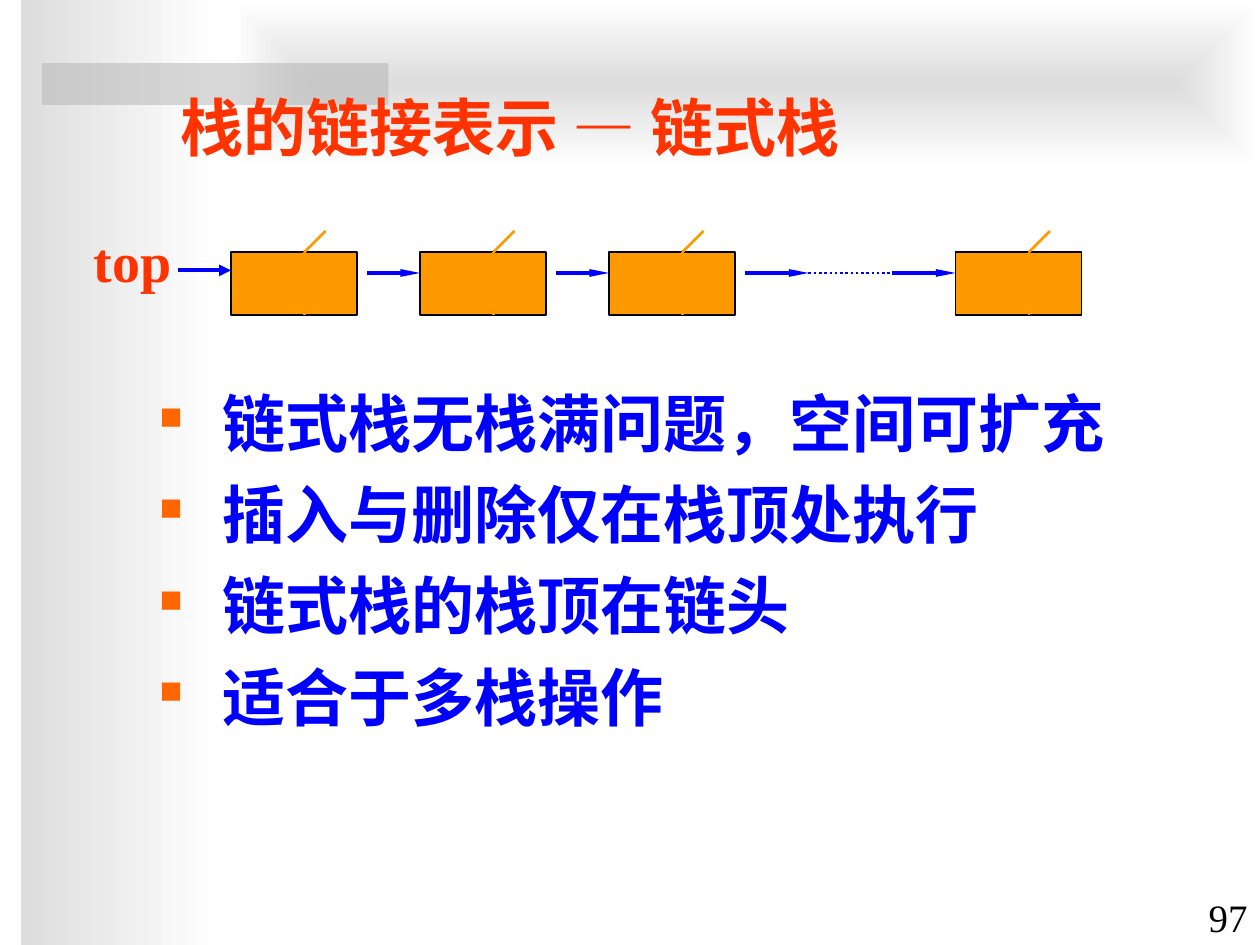
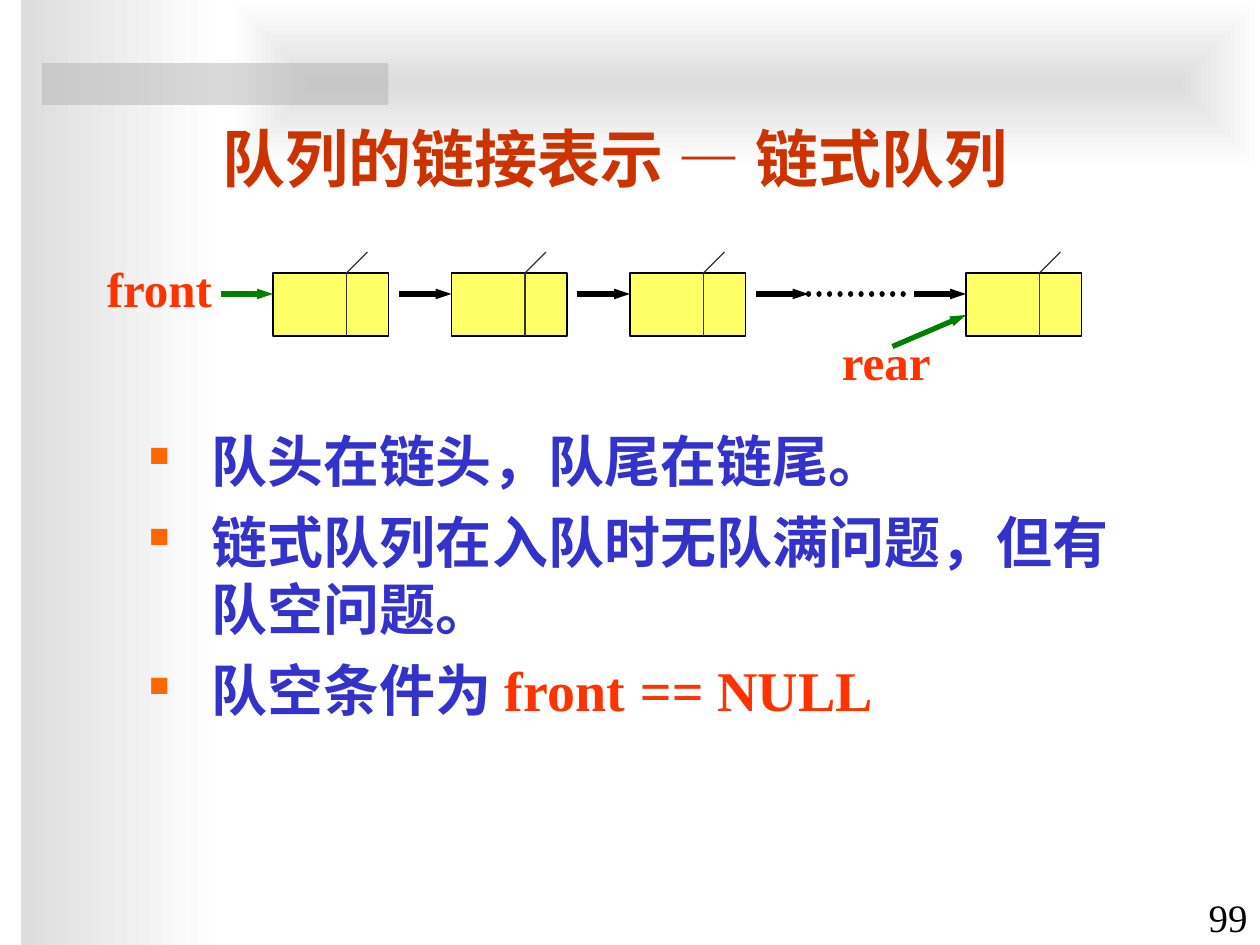
from lxml import etree
from pptx import Presentation
from pptx.dml.color import RGBColor
from pptx.enum.dml import MSO_LINE
from pptx.enum.shapes import MSO_CONNECTOR, MSO_SHAPE
from pptx.enum.text import MSO_ANCHOR, MSO_AUTO_SIZE, PP_ALIGN
from pptx.oxml.ns import qn
from pptx.util import Emu, Pt

RECTANGLE = MSO_SHAPE.RECTANGLE
STRAIGHT = MSO_CONNECTOR.STRAIGHT
DOTTED = MSO_LINE.ROUND_DOT
TOP, MIDDLE, BOTTOM = MSO_ANCHOR.TOP, MSO_ANCHOR.MIDDLE, MSO_ANCHOR.BOTTOM
LEFT, RIGHT = PP_ALIGN.LEFT, PP_ALIGN.RIGHT
NO_AUTOFIT = MSO_AUTO_SIZE.NONE
PIXEL = 9525
FONT = "Times New Roman"
TITLE_ONLY = 5

COLORS = {
    "black": "000000", "white": "FFFFFF", "band": "DDDDDD", "accent": "B2B2B2",
    "red": "FF3300", "brick": "CC3300", "blue": "0000FF", "indigo": "3333CC",
    "orange": "FF9900", "yellow": "FFFF66", "green": "008000", "dark": "333333",
    "bullet": "FF6600",
}

SIDE_BAND = (16, 0, 152, 720)
TOP_BAND = (176, 0, 784, 128)
ACCENT_BAR = (32, 48, 264, 32)
PAGE_NUMBER = (864, 673, 96, 48)
NODE_HEIGHT, DIVIDER_OFFSET, TICK, NODE_GAP, BULLET_INDENT = 48, 56, 16, 8, 48

SLIDES = [
    {
        "page": "97",
        "title": "栈的链接表示 — 链式栈",
        "title_box": (128, 56, 648, 80), "title_color": "red",
        "body_box": (112, 288, 792, 280), "body_size": 36, "body_color": "blue",
        "space_before": 9,
        "bullets": [
            [("链式栈无栈满问题，空间可扩充", {})],
            [("插入与删除仅在栈顶处执行", {})],
            [("链式栈的栈顶在链头", {})],
            [("适合于多栈操作", {})],
        ],
        "nodes": [176, 320, 464, 728], "node_top": 192, "node_width": 96,
        "node_fill": "orange", "divider": ("orange", 1.5),
        "link": {"color": "blue", "width": 2.25, "head": ("sm", "lg")},
        "dots": (616, 680, 1.5, "flat"),
        "labels": [("top", (62, 168, 79, 61), 32)],
        "pointers": [((136, 206), (176, 206))],
        "pointer": {"color": "blue", "width": 2.25, "head": ("med", "med")},
    },
    {
        "page": "99",
        "title": "队列的链接表示 — 链式队列",
        "title_box": (160, 88, 680, 64), "title_color": "brick",
        "body_box": (104, 320, 784, 272), "body_size": 32, "body_color": "indigo",
        "space_before": 8,
        "bullets": [
            [("队头在链头，队尾在链尾。", {})],
            [("链式队列在入队时无队满问题，但有队空问题。", {})],
            [("队空条件为 ", {}), ("front ", {"color": "red"}),
             ("==", {"color": "red", "italic": True}), (" NULL", {"color": "red"})],
        ],
        "nodes": [208, 344, 480, 736], "node_top": 208, "node_width": 88,
        "node_fill": "yellow", "divider": ("dark", 0.75),
        "link": {"color": "black", "width": 3, "head": ("sm", "med")},
        "dots": (616, 696, 3, "rnd"),
        "labels": [("front", (72, 192, 100, 55), 28), ("rear", (632, 248, 87, 55), 28)],
        "pointers": [((168, 224), (208, 224)), ((680, 264), (736, 240))],
        "pointer": {"color": "green", "width": 3, "head": ("sm", "med")},
    },
]


def px(value):
    return Emu(value * PIXEL)


def rgb(name):
    return RGBColor.from_string(COLORS[name])


def place(shape, box):
    shape.left, shape.top, shape.width, shape.height = map(px, box)


def add_rectangle(slide, box, fill=None, line=None):
    shape = slide.shapes.add_shape(RECTANGLE, *map(px, box))
    shape.shadow.inherit = False
    if fill:
        shape.fill.solid()
        shape.fill.fore_color.rgb = rgb(fill)
    if line:
        shape.line.color.rgb = rgb(line)
        shape.line.width = Pt(0.75)
    else:
        shape.line.fill.background()
    return shape


def add_gradient(slide, box):
    shape = add_rectangle(slide, box)
    shape.fill.gradient()
    shape.fill.gradient_angle = 0
    for stop, position, color in zip(shape.fill.gradient_stops, (0, 1), ("band", "white")):
        stop.position = position
        stop.color.rgb = rgb(color)
    return shape


def add_bands(slide, layout):
    side = add_gradient(slide, SIDE_BAND)
    top = add_gradient(slide, TOP_BAND)
    gradient = top.element.spPr.find(qn("a:gradFill"))
    gradient.remove(gradient.find(qn("a:lin")))
    center = etree.SubElement(gradient, qn("a:path"), path="rect")
    etree.SubElement(center, qn("a:fillToRect"), l="50000", t="50000", r="50000", b="50000")
    bar = add_rectangle(slide, ACCENT_BAR, "accent")
    color = bar.element.spPr.find(qn("a:solidFill"))[0]
    etree.SubElement(color, qn("a:alpha"), val="50000")
    for shape in (side, top, bar):
        layout.shapes.element.append(shape.element)


def add_line(slide, start, end, color, width, head=None, dash=None, cap="flat"):
    connector = slide.shapes.add_connector(STRAIGHT, *map(px, start + end))
    connector.line.color.rgb = rgb(color)
    connector.line.width = Pt(width)
    if dash:
        connector.line.dash_style = dash
    properties = connector.line._get_or_add_ln()
    properties.set("cap", cap)
    if head:
        etree.SubElement(properties, qn("a:tailEnd"), type="triangle", w=head[0], len=head[1])
    etree.SubElement(connector.element.spPr, qn("a:effectLst"))


def add_bullet(paragraph):
    properties = paragraph._p.get_or_add_pPr()
    properties.set("marL", str(px(BULLET_INDENT)))
    properties.set("indent", str(-px(BULLET_INDENT)))
    color = etree.SubElement(properties, qn("a:buClr"))
    etree.SubElement(color, qn("a:srgbClr"), val=COLORS["bullet"])
    etree.SubElement(properties, qn("a:buSzPct"), val="50000")
    etree.SubElement(properties, qn("a:buChar"), char="■")


def write_text(shape, paragraphs, size, color, bold=True, align=LEFT, anchor=TOP,
               wrap=True, bullet=False, space_before=0):
    frame = shape.text_frame
    frame.word_wrap = wrap
    frame.auto_size = NO_AUTOFIT
    frame.vertical_anchor = anchor
    for index, runs in enumerate(paragraphs):
        paragraph = frame.add_paragraph() if index else frame.paragraphs[0]
        paragraph.alignment = align
        paragraph.space_before = Pt(space_before if index else 0)
        if bullet:
            add_bullet(paragraph)
        for text, style in runs:
            run = paragraph.add_run()
            run.text = text
            run.font.name = FONT
            run.font.size = Pt(size)
            run.font.bold = bold
            run.font.italic = style.get("italic", False)
            run.font.color.rgb = rgb(style.get("color", color))


def add_text(slide, box, paragraphs, size, color, **options):
    shape = slide.shapes.add_textbox(*map(px, box))
    write_text(shape, paragraphs, size, color, **options)


def add_linked_list(slide, content):
    nodes, top, width = content["nodes"], content["node_top"], content["node_width"]
    link_y = top + TICK
    for left in nodes:
        add_rectangle(slide, (left, top, width, NODE_HEIGHT), content["node_fill"], "black")
        divider = left + DIVIDER_OFFSET
        for end in ((divider, top + NODE_HEIGHT), (divider + TICK, top - TICK)):
            add_line(slide, (divider, top), end, *content["divider"])
    dots_start, dots_end, dots_width, cap = content["dots"]
    starts = [left + width + NODE_GAP for left in nodes[:-1]] + [dots_end]
    ends = nodes[1:-1] + [dots_start, nodes[-1]]
    for start, end in zip(starts, ends):
        add_line(slide, (start, link_y), (end, link_y), **content["link"])
    add_line(slide, (dots_start, link_y), (dots_end, link_y), content["link"]["color"],
             dots_width, dash=DOTTED, cap=cap)
    for text, box, size in content["labels"]:
        add_text(slide, box, [[(text, {})]], size, "red", wrap=False)
    for start, end in content["pointers"]:
        add_line(slide, start, end, **content["pointer"])


def build_slide(slide, content):
    title = slide.shapes.title
    place(title, content["title_box"])
    write_text(title, [[(content["title"], {})]], 36, content["title_color"], anchor=MIDDLE)
    add_text(slide, PAGE_NUMBER, [[(content["page"], {})]], 22.2, "black",
             bold=False, align=RIGHT, anchor=BOTTOM)
    add_text(slide, content["body_box"], content["bullets"], content["body_size"],
             content["body_color"], bullet=True, space_before=content["space_before"])
    add_linked_list(slide, content)


def main():
    presentation = Presentation()
    presentation.slide_width, presentation.slide_height = px(960), px(720)
    layout = presentation.slide_layouts[TITLE_ONLY]
    slides = [presentation.slides.add_slide(layout) for content in SLIDES]
    add_bands(slides[0], layout)
    for slide, content in zip(slides, SLIDES):
        build_slide(slide, content)
    presentation.save("out.pptx")


if __name__ == "__main__":
    main()
